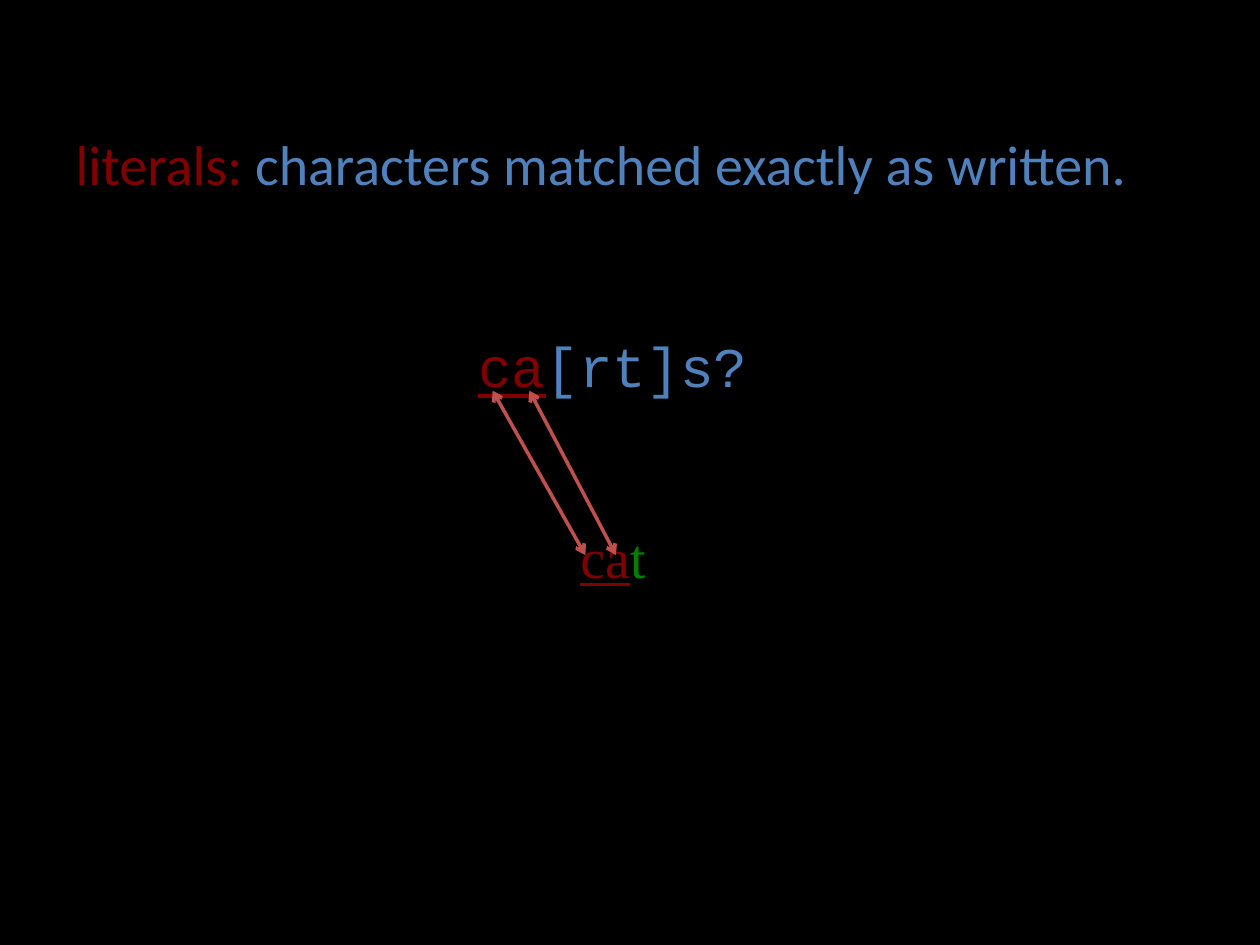
from lxml import etree
from pptx import Presentation
from pptx.dml.color import RGBColor
from pptx.enum.shapes import MSO_CONNECTOR, MSO_SHAPE
from pptx.enum.text import MSO_ANCHOR, PP_ALIGN
from pptx.oxml.ns import qn
from pptx.util import Pt

STRAIGHT = MSO_CONNECTOR.STRAIGHT
RECTANGLE = MSO_SHAPE.RECTANGLE
MIDDLE = MSO_ANCHOR.MIDDLE
CENTER = PP_ALIGN.CENTER

BLACK = RGBColor(0x00, 0x00, 0x00)
MAROON = RGBColor(0x80, 0x00, 0x00)
BLUE = RGBColor(0x4F, 0x81, 0xBD)
GREEN = RGBColor(0x00, 0x80, 0x00)
RED = RGBColor(0xC0, 0x50, 0x4D)


def write_line(paragraph, font_name, literal, rest, rest_color, underline=None):
    paragraph.font.name = font_name
    paragraph.font.size = Pt(32)
    paragraph.space_before = Pt(6.4)
    for text, color, underlined in ((literal, MAROON, underline), (rest, rest_color, None)):
        run = paragraph.add_run()
        run.text = text
        run.font.color.rgb = color
        run.font.underline = underlined


prs = Presentation()
prs.slide_width, prs.slide_height = Pt(720), Pt(540)
slide = prs.slides.add_slide(prs.slide_layouts[1])
slide.background.fill.solid()
slide.background.fill.fore_color.rgb = BLACK

title = slide.shapes.title
title.element.getparent().remove(title.element)

definition = slide.placeholders[1]
definition.left, definition.top = Pt(36), Pt(70.5)
definition.width, definition.height = Pt(648), Pt(55.5)
definition_line = definition.text_frame.paragraphs[0]
write_line(definition_line, "Calibri", "literals: ", "characters matched exactly as written.", BLUE)
properties = definition_line._p.get_or_add_pPr()
properties.set("marL", "0")
properties.set("indent", "0")
bullet_none = etree.Element(qn("a:buNone"))
properties.find(qn("a:spcBef")).addnext(bullet_none)

for top, height, font_name, rest, rest_color in (
    (183, 51, "Courier New", "[rt]s?", BLUE),
    (288, 59, "Times New Roman", "t", GREEN),
):
    example = slide.shapes.add_shape(RECTANGLE, Pt(251.25), Pt(top), Pt(198), Pt(height))
    example.shadow.inherit = False
    example.fill.solid()
    example.fill.fore_color.rgb = BLACK
    example.line.fill.background()
    example.text_frame.vertical_anchor = MIDDLE
    example_line = example.text_frame.paragraphs[0]
    example_line.alignment = CENTER
    write_line(example_line, font_name, "ca", rest, rest_color, underline=True)

for pattern_x, match_x in ((281.5, 334.5), (302.5, 352)):
    match_arrow = slide.shapes.add_connector(
        STRAIGHT, Pt(pattern_x), Pt(223.25), Pt(match_x), Pt(317.25))
    match_arrow.line.color.rgb = RED
    match_arrow.line.width = Pt(2)
    outline = match_arrow.line._get_or_add_ln()
    for end in ("a:headEnd", "a:tailEnd"):
        etree.SubElement(outline, qn(end), type="arrow")
    etree.SubElement(match_arrow._element.spPr, qn("a:effectLst"))

prs.save("out.pptx")
